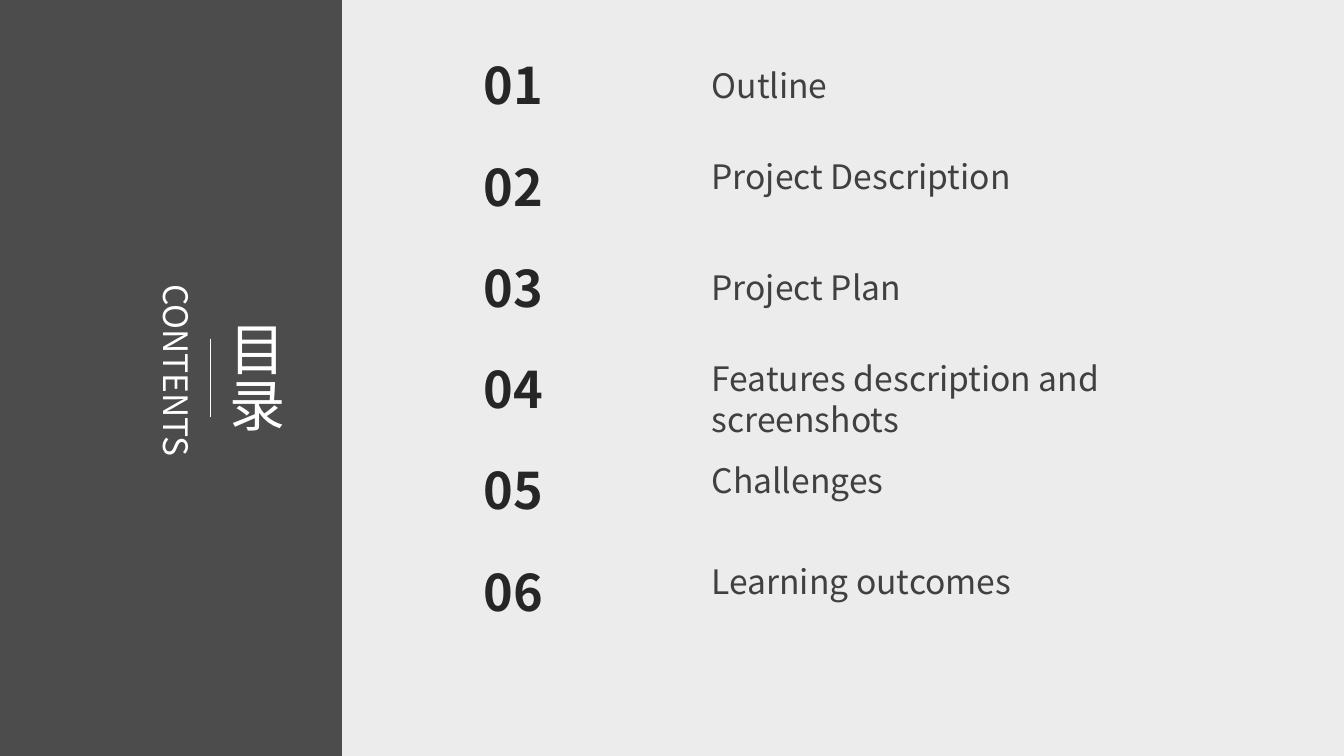
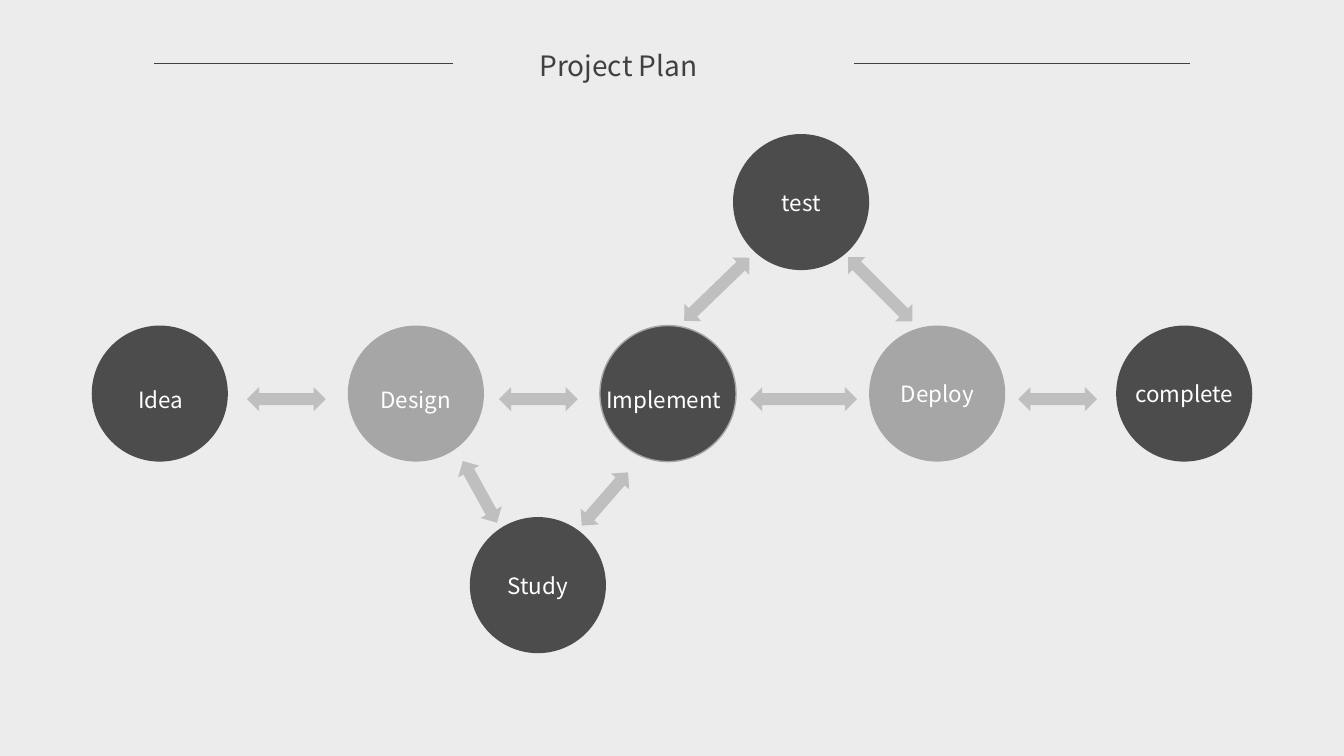
from lxml.etree import SubElement
from pptx import Presentation
from pptx.dml.color import RGBColor
from pptx.enum.shapes import MSO_CONNECTOR, MSO_SHAPE
from pptx.enum.text import MSO_ANCHOR, MSO_AUTO_SIZE, PP_ALIGN
from pptx.oxml.ns import qn
from pptx.util import Inches, Pt

FONT = "Noto Sans CJK SC"
COLORS = {
    "background": "ECECEC", "dark": "4C4C4C", "mid": "A6A6A6", "outline": "A5A5A5",
    "arrow": "BFBFBF", "number": "262626", "text": "404040", "white": "FFFFFF",
}

# entry, drop below the top of its number
CONTENTS = [
    ("Outline", 0.1),
    ("Project Description", 0),
    ("Project Plan", 0.1),
    ("Features description and screenshots", 0),
    ("Challenges", 0),
    ("Learning outcomes", 0),
]
CONTENTS_TOP, CONTENTS_STEP = 0.49, 1.005

DIAMETER = 1.35
# label, left, top, fill, label margins (left, top, right)
STAGES = [
    ("Idea", 0.91, 3.23, "dark", (0.02, 0.12, 0)),
    ("Design", 3.45, 3.23, "mid", (0, 0.12, 0)),
    ("Implement", 5.95, 3.23, "dark", (0, 0.12, 0.08)),
    ("Deploy", 8.62, 3.23, "mid", (0, 0, 0)),
    ("complete", 11.07, 3.23, "dark", (0, 0, 0)),
    ("test", 7.27, 1.33, "dark", (0, 0, 0)),
    ("Study", 4.66, 5.13, "dark", (0, 0, 0)),
]
ARROW_HEIGHT = 0.24
# left, top, length, rotation
ARROWS = [
    (2.45, 3.84, 0.78, 0),
    (4.95, 3.84, 0.78, 0),
    (7.44, 3.84, 1.06, 0),
    (10.1, 3.84, 0.78, 0),
    (6.66, 2.75, 0.9, 316),
    (8.28, 2.75, 0.9, 45),
    (4.41, 4.76, 0.7, 61),
    (5.65, 4.83, 0.7, 311),
]


def rgb(name):
    return RGBColor.from_string(COLORS[name])


def write(sp, text, size, color, bold=False, align=PP_ALIGN.LEFT,
          anchor=MSO_ANCHOR.TOP, wrap=True, vertical=False):
    tf = sp.text_frame
    tf.text = text
    tf.auto_size = MSO_AUTO_SIZE.NONE
    tf.word_wrap = wrap
    tf.vertical_anchor = anchor
    if vertical:
        tf._txBody.bodyPr.set("vert", "eaVert")
    p = tf.paragraphs[0]
    p.alignment = align
    r = p.runs[0]
    r.font.size = Pt(size)
    r.font.bold = bold
    r.font.color.rgb = rgb(color)
    r.font.name = FONT
    SubElement(r._r.get_or_add_rPr(), qn("a:ea"), typeface=FONT)
    return tf


def add_text(s, box, text, size, color, **style):
    sp = s.shapes.add_textbox(*map(Inches, box))
    return write(sp, text, size, color, **style)


def set_title(s, box, text, size, color, **style):
    sp = s.shapes.title
    sp.left, sp.top, sp.width, sp.height = map(Inches, box)
    return write(sp, text, size, color, **style)


def add_shape(s, kind, box, fill, line=None):
    sp = s.shapes.add_shape(kind, *map(Inches, box))
    sp.shadow.inherit = False
    sp.fill.solid()
    sp.fill.fore_color.rgb = rgb(fill)
    if line:
        sp.line.color.rgb = rgb(line)
        sp.line.width = Pt(1)
    else:
        sp.line.fill.background()
    return sp


def add_line(s, x1, y1, x2, y2, color):
    line = s.shapes.add_connector(MSO_CONNECTOR.STRAIGHT, *map(Inches, (x1, y1, x2, y2)))
    line.line.color.rgb = rgb(color)
    line.line.width = Pt(0.5)
    SubElement(line._element.spPr, qn("a:effectLst"))


def add_slide(prs):
    return prs.slides.add_slide(prs.slide_layouts.get_by_name("Title Only"))


def build_contents(prs):
    s = add_slide(prs)
    band = add_shape(s, MSO_SHAPE.RECTANGLE, (0, 0, 3.39, 7.5), "dark")
    band._element.addprevious(s.shapes.title._element)
    s.shapes.title._element.addprevious(band._element)
    set_title(s, (2.09, 3.14, 0.88, 1.22), "目录", 40, "white", wrap=False, vertical=True)
    add_line(s, 2.09, 3.36, 2.09, 4.14, "white")
    add_text(s, (1.39, 2.72, 0.61, 2.06), "CONTENTS", 24, "white", vertical=True)
    for i, (entry, drop) in enumerate(CONTENTS):
        top = CONTENTS_TOP + i * CONTENTS_STEP
        add_text(s, (4.7, top, 1.71, 0.71), f"{i + 1:02}", 36, "number", bold=True)
        add_text(s, (6.96, top + drop, 5.55, 0.5), entry, 24, "text")


def build_plan(prs):
    s = add_slide(prs)
    tf = set_title(s, (5.13, 0.43, 3.08, 0.44), "Project Plan", 20, "text")
    tf.margin_left = Inches(0.22)
    for x1, x2 in ((1.53, 4.49), (8.47, 11.8)):
        add_line(s, x1, 0.63, x2, 0.63, "text")
    for left, top, length, rotation in ARROWS:
        arrow = add_shape(s, MSO_SHAPE.LEFT_RIGHT_ARROW,
                          (left, top, length, ARROW_HEIGHT), "arrow")
        arrow.rotation = rotation
    for label, left, top, fill, margins in STAGES:
        circle = add_shape(s, MSO_SHAPE.OVAL, (left, top, DIAMETER, DIAMETER), fill,
                           "outline" if label == "Implement" else None)
        tf = write(circle, label, 16, "white", align=PP_ALIGN.CENTER,
                   anchor=MSO_ANCHOR.MIDDLE, wrap=False)
        tf.margin_left, tf.margin_top, tf.margin_right = map(Inches, margins)
        tf.margin_bottom = 0


def main():
    prs = Presentation()
    prs.slide_width, prs.slide_height = Inches(13.33), Inches(7.5)
    fill = prs.slide_master.background.fill
    fill.solid()
    fill.fore_color.rgb = rgb("background")
    build_contents(prs)
    build_plan(prs)
    prs.save("out.pptx")


if __name__ == "__main__":
    main()
